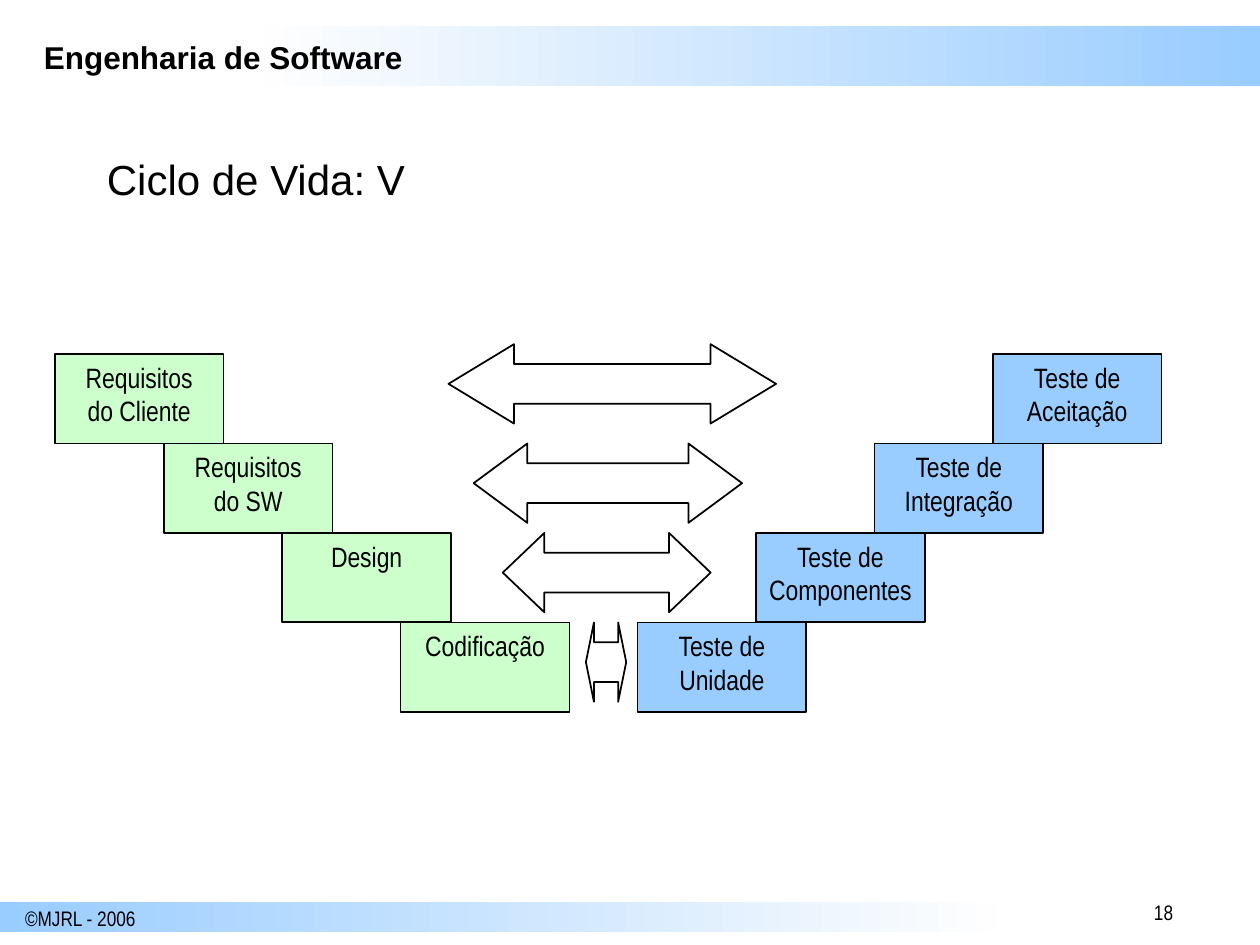
from dataclasses import dataclass

from pptx import Presentation
from pptx.dml.color import RGBColor
from pptx.enum.shapes import MSO_SHAPE
from pptx.enum.text import MSO_ANCHOR, PP_ALIGN
from pptx.slide import Slide
from pptx.util import Inches, Pt

RECTANGLE = MSO_SHAPE.RECTANGLE
DOUBLE_ARROW = MSO_SHAPE.LEFT_RIGHT_ARROW
TOP = MSO_ANCHOR.TOP
CENTER = PP_ALIGN.CENTER

COLORS = {
    "ink": "000000",
    "fade": "FEFEFE",
    "test": "99CCFF",
    "build": "CCFFCC",
}

GRID_LEFT, GRID_TOP = 0.36, 2.81
COLUMN_STEP, ROW_STEP = 0.94, 0.71
STAGE_WIDTH, STAGE_HEIGHT = 1.34, 0.71
ARROW_HEIGHT = 0.63
HEAD_SHARE = 0.2


@dataclass(frozen=True)
class Band:
    left: float
    top: float
    width: float
    height: float
    angle: int


@dataclass(frozen=True)
class Label:
    text: str
    left: float
    top: float
    width: float
    height: float
    size: int
    font: str
    bold: bool = False


@dataclass(frozen=True)
class Stage:
    text: str
    column: float
    row: int
    color: str


@dataclass(frozen=True)
class Link:
    left: float
    row: float
    width: float


BANDS = [Band(2.09, 0.21, 7.91, 0.47, 0), Band(0, 7.16, 7.91, 0.24, 180)]

LABELS = [
    Label("Engenharia de Software", 0.25, 0.25, 4.83, 0.4, 18, "Arial", True),
    Label("18", 9.06, 7.09, 0.82, 0.3, 12, "Arial Narrow"),
    Label("©MJRL - 2006", 0.1, 7.14, 1.08, 0.3, 12, "Arial Narrow"),
    Label("Ciclo de Vida: V", 0.75, 1.17, 8.5, 0.75, 24, "Arial"),
]

STAGES = [
    Stage("Requisitos\ndo Cliente", 0.08, 0, "build"),
    Stage("Requisitos\ndo SW", 1, 1, "build"),
    Stage("Design", 2, 2, "build"),
    Stage("Codificação", 3, 3, "build"),
    Stage("Teste de\nUnidade", 5, 3, "test"),
    Stage("Teste de\nComponentes", 6, 2, "test"),
    Stage("Teste de\nIntegração", 7, 1, "test"),
    Stage("Teste de\nAceitação", 8, 0, "test"),
]

LINKS = [
    Link(3.56, -0.11, 2.6),
    Link(3.76, 1, 2.13),
    Link(3.99, 2, 1.65),
    Link(4.65, 3, 0.32),
]


def rgb(name: str) -> RGBColor:
    return RGBColor.from_string(COLORS[name])


def row_top(row: float) -> float:
    return GRID_TOP + row * ROW_STEP


def add_outlined(slide: Slide, preset, left: float, top: float, width: float, height: float):
    outlined = slide.shapes.add_shape(
        preset, Inches(left), Inches(top), Inches(width), Inches(height)
    )
    outlined.shadow.inherit = False
    outlined.line.color.rgb = rgb("ink")
    outlined.line.width = Pt(1)
    return outlined


def style_text(frame, size: int, font: str, bold: bool = False) -> None:
    for paragraph in frame.paragraphs:
        for run in paragraph.runs:
            run.font.size = Pt(size)
            run.font.name = font
            run.font.bold = bold
            run.font.color.rgb = rgb("ink")


def draw_band(slide: Slide, band: Band) -> None:
    strip = add_outlined(slide, RECTANGLE, band.left, band.top, band.width, band.height)
    strip.line.fill.background()
    strip.fill.gradient()
    strip.fill.gradient_angle = band.angle
    for stop, color in zip(strip.fill.gradient_stops, ("fade", "test")):
        stop.color.rgb = rgb(color)


def draw_label(slide: Slide, label: Label) -> None:
    frame = slide.shapes.add_textbox(
        Inches(label.left), Inches(label.top), Inches(label.width), Inches(label.height)
    ).text_frame
    frame.word_wrap = True
    frame.text = label.text
    style_text(frame, label.size, label.font, label.bold)


def draw_stage(slide: Slide, stage: Stage) -> None:
    left = GRID_LEFT + stage.column * COLUMN_STEP
    box = add_outlined(
        slide, RECTANGLE, left, row_top(stage.row), STAGE_WIDTH, STAGE_HEIGHT
    )
    box.fill.solid()
    box.fill.fore_color.rgb = rgb(stage.color)
    frame = box.text_frame
    frame.text = stage.text
    frame.word_wrap = False
    frame.vertical_anchor = TOP
    for paragraph in frame.paragraphs:
        paragraph.alignment = CENTER
    style_text(frame, 16, "Arial Narrow")


def draw_link(slide: Slide, link: Link) -> None:
    arrow = add_outlined(
        slide, DOUBLE_ARROW, link.left, row_top(link.row), link.width, ARROW_HEIGHT
    )
    arrow.fill.background()
    arrow.adjustments[0] = 0.5
    arrow.adjustments[1] = HEAD_SHARE * link.width / min(link.width, ARROW_HEIGHT)


def main() -> None:
    deck = Presentation()
    deck.slide_width, deck.slide_height = Inches(10), Inches(7.5)
    slide = deck.slides.add_slide(deck.slide_layouts[6])
    for band in BANDS:
        draw_band(slide, band)
    for label in LABELS:
        draw_label(slide, label)
    for stage in STAGES:
        draw_stage(slide, stage)
    for link in LINKS:
        draw_link(slide, link)
    deck.save("out.pptx")


if __name__ == "__main__":
    main()
